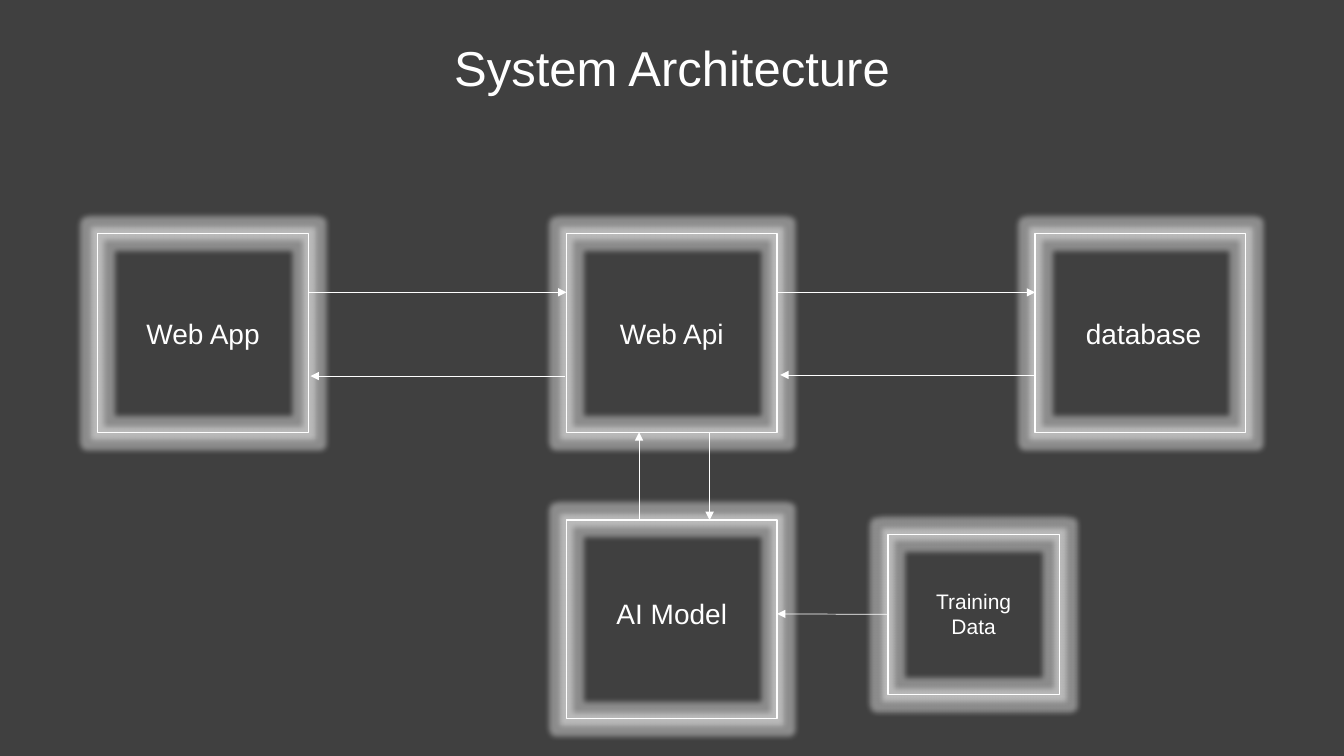
from lxml import etree
from pptx import Presentation
from pptx.dml.color import RGBColor
from pptx.enum import shapes, text
from pptx.oxml import ns
from pptx.util import Pt

WHITE = RGBColor(0xFF, 0xFF, 0xFF)
CHARCOAL = RGBColor(0x40, 0x40, 0x40)
BOX_WIDTH, BOX_HEIGHT = 150.5, 141.8
COLUMNS = [69.8 + 334.8 * i for i in range(3)]
TOP_ROW, MODEL_ROW = 167, 371.5

deck = Presentation()
deck.slide_width, deck.slide_height = Pt(960), Pt(540)
page = deck.slides.add_slide(deck.slide_layouts[6])
page.background.fill.solid()
page.background.fill.fore_color.rgb = CHARCOAL


def add_label(lines, left, top, width, height, size):
    box = page.shapes.add_textbox(Pt(left), Pt(top), Pt(width), Pt(height))
    frame = box.text_frame
    frame.word_wrap = True
    frame.auto_size = text.MSO_AUTO_SIZE.SHAPE_TO_FIT_TEXT
    frame.text = "\n".join(lines)
    for para in frame.paragraphs:
        para.alignment = text.PP_ALIGN.CENTER
        para.font.name = "Arial"
        para.font.size = Pt(size)
        para.font.color.rgb = WHITE


def add_glowing_box(left, top, width, height):
    box = page.shapes.add_shape(
        shapes.MSO_SHAPE.RECTANGLE, Pt(left), Pt(top), Pt(width), Pt(height))
    box.fill.background()
    box.line.color.rgb = WHITE
    box.line.width = Pt(1)
    box.shadow.inherit = False
    effects = box.element.spPr.find(ns.qn("a:effectLst"))
    glow = etree.SubElement(effects, ns.qn("a:glow"), rad=str(Pt(8)))
    color = etree.SubElement(glow, ns.qn("a:srgbClr"), val=str(WHITE))
    etree.SubElement(color, ns.qn("a:alpha"), val="40000")
    return box


add_label(["System Architecture"], 145.4, 23, 669.6, 49.7, 35)

# Components: name, box left, box top, label left, label top
components = [
    ("Web App", COLUMNS[0], TOP_ROW, COLUMNS[0], 222.5),
    ("Web Api", COLUMNS[1], TOP_ROW, COLUMNS[1], 222.5),
    ("database", COLUMNS[2], TOP_ROW, 741.6, 222.5),
    ("AI Model", COLUMNS[1], MODEL_ROW, COLUMNS[1], 422.6),
]
for name, left, top, label_left, label_top in components:
    add_glowing_box(left, top, BOX_WIDTH, BOX_HEIGHT)
    add_label([name], label_left, label_top, BOX_WIDTH, 31.7, 20)

training_box = add_glowing_box(634.3, 381.6, 122.4, 114.5)
add_label(["Training", "Data"], 641.5, 416.9, 108, 43.9, 15)

# Arrows: start x, start y, end x, end y, box joined at its left side
app_right, api_right = (left + BOX_WIDTH for left in COLUMNS[:2])
api_bottom = TOP_ROW + BOX_HEIGHT
arrows = [
    (app_right, 208.8, COLUMNS[1], 208.8, None),
    (api_right, 208.8, COLUMNS[2], 208.8, None),
    (COLUMNS[2], 267.8, 557.3, 267.8, None),
    (403.9, 268.6, 221.8, 268.6, None),
    (456.5, MODEL_ROW, 456.5, api_bottom, None),
    (506.9, api_bottom, 506.9, MODEL_ROW, None),
    (634.3, 438.85, api_right, 438.5, training_box),
]
for start_x, start_y, end_x, end_y, source in arrows:
    arrow = page.shapes.add_connector(
        shapes.MSO_CONNECTOR.STRAIGHT,
        Pt(start_x), Pt(start_y), Pt(end_x), Pt(end_y))
    if source is not None:
        arrow.begin_connect(source, 1)
    arrow.line.color.rgb = WHITE
    arrow.line.width = Pt(0.5)
    etree.SubElement(arrow.line._get_or_add_ln(), ns.qn("a:tailEnd"), type="triangle")
    etree.SubElement(arrow.element.spPr, ns.qn("a:effectLst"))

deck.save("out.pptx")
